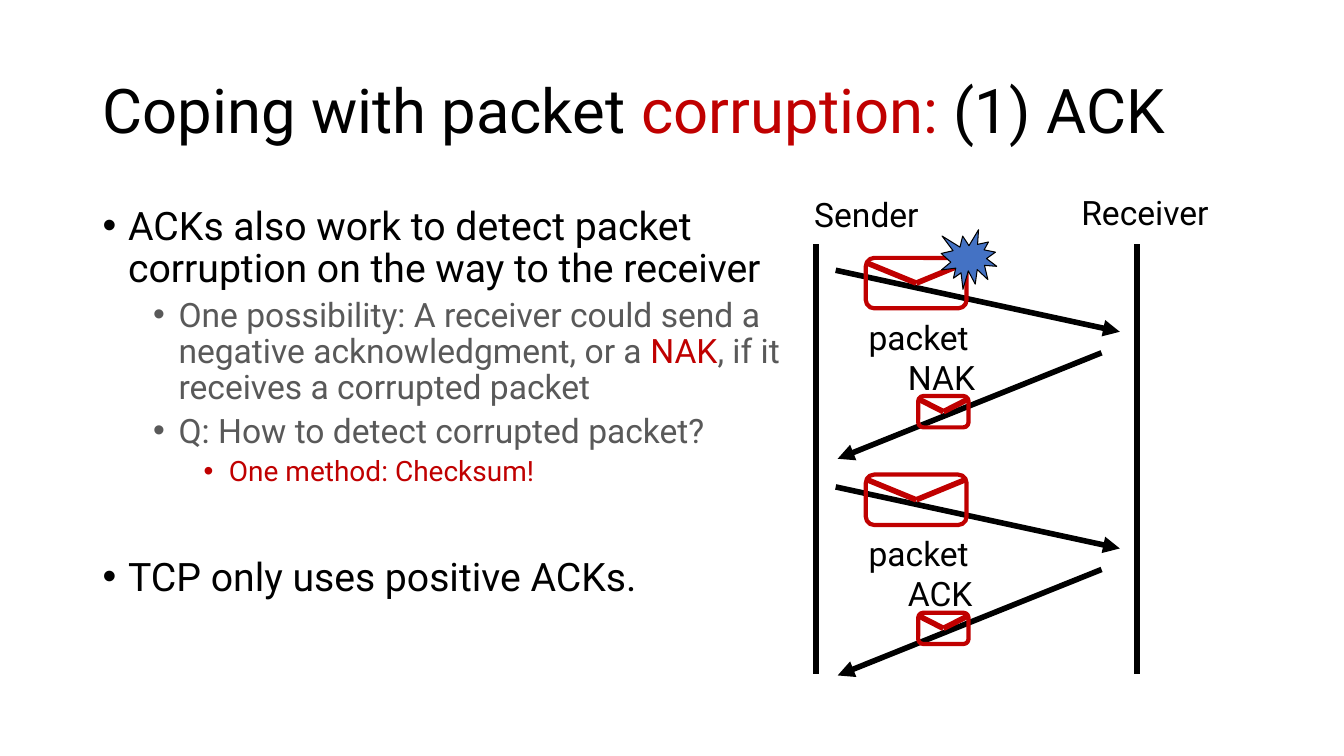
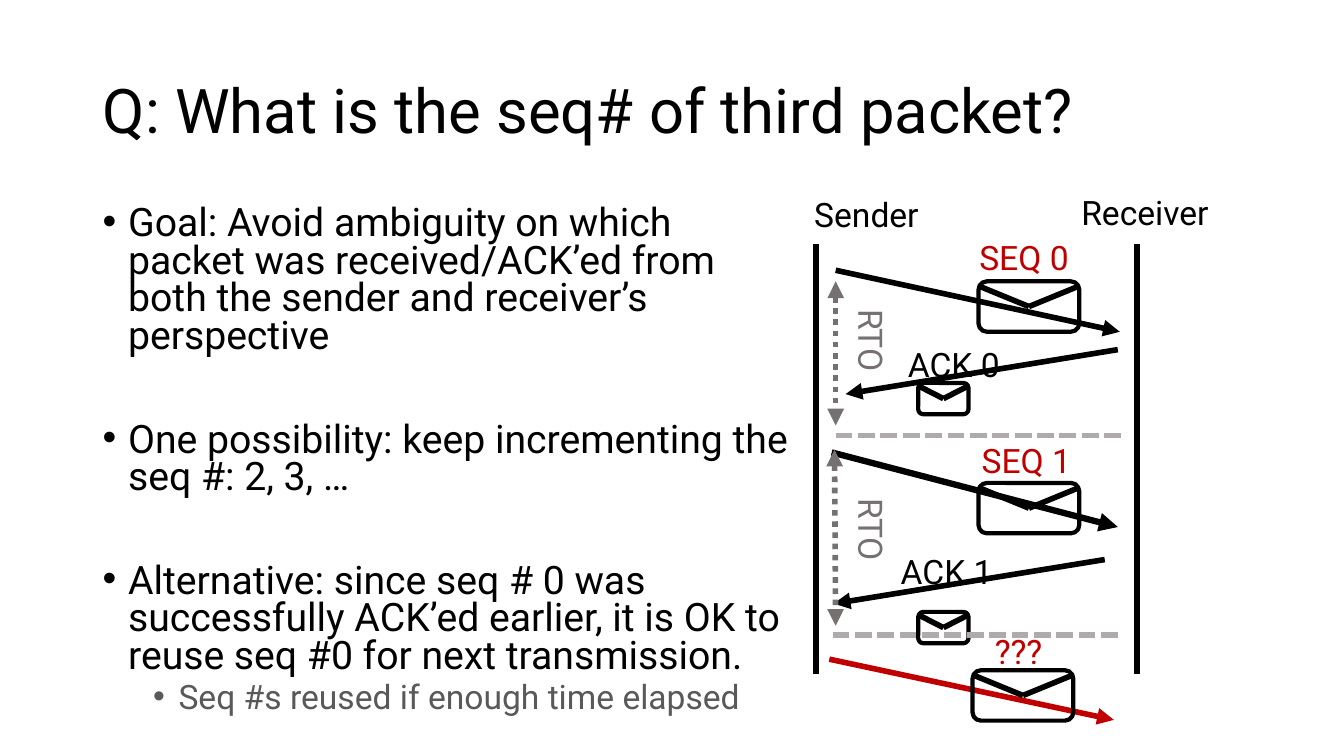
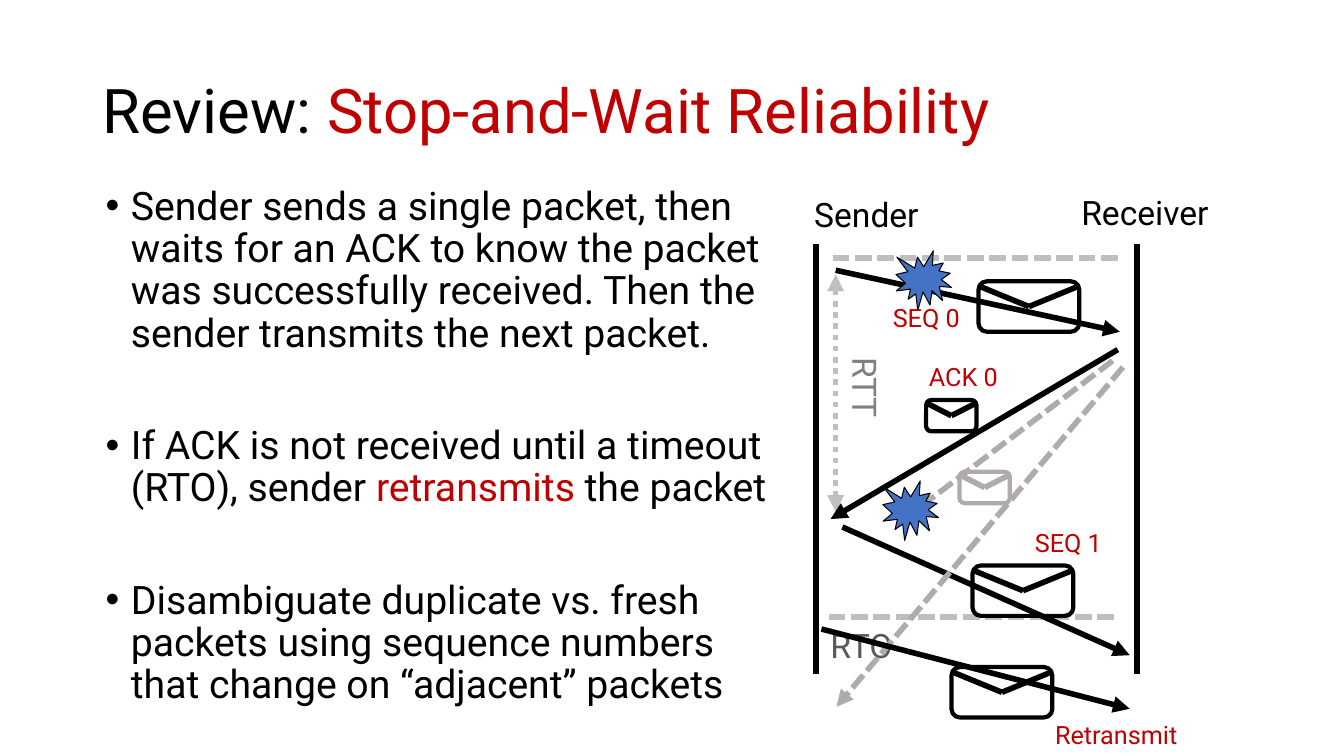
"""Build three slides on reliable delivery with ACKs, sequence numbers and timeouts."""
from lxml.etree import SubElement
from pptx import Presentation
from pptx.dml.color import RGBColor
from pptx.enum.dml import MSO_LINE_DASH_STYLE as Dash
from pptx.enum.shapes import MSO_CONNECTOR as Connector, MSO_SHAPE as Preset
from pptx.enum.text import MSO_ANCHOR as Anchor
from pptx.oxml.ns import qn
from pptx.util import Cm, Pt

BLACK = RGBColor(0x00, 0x00, 0x00)
RED = RGBColor(0xC0, 0x00, 0x00)
BLUE = RGBColor(0x44, 0x72, 0xC4)
DARK = RGBColor(0x59, 0x59, 0x59)
SLATE = RGBColor(0x76, 0x71, 0x71)
MID = RGBColor(0x80, 0x80, 0x80)
SILVER = RGBColor(0xAF, 0xAB, 0xAB)
PALE = RGBColor(0xBF, 0xBF, 0xBF)

FONT = "Roboto"
LEVELS = [(28, BLACK, 10), (24, DARK, 5), (20, RED, 5)]
LARGE, SMALL = (2.54, 1.27), (1.27, 0.79)
FIRST_SEND = (21.06, 6.81, 28.22, 8.36)


class Deck:
    """Shared style and the slide being drawn."""

    def __init__(self):
        self.show = Presentation()
        self.show.slide_width, self.show.slide_height = Cm(33.87), Cm(19.05)
        self.shapes = None

    def start(self, title, accent=None):
        """Add a slide with its title and the two timelines."""
        self.shapes = self.show.slides.add_slide(self.show.slide_layouts[6]).shapes
        heading = self.frame(2.34, 1.02, 29.21, 3.68)
        heading.vertical_anchor = Anchor.MIDDLE
        heading.paragraphs[0].line_spacing = 0.9
        self.fill_in(heading.paragraphs[0], title, 44, BLACK, accent)
        for timeline in (20.57, 28.65):
            self.line(timeline, 6.15, timeline, 16.99)
        self.label("Sender", 20.27, 4.75, 3.84)
        self.label("Receiver", 27, 4.7, 4.27)

    def frame(self, x, y, width, height, turn=0):
        """Add a wrapping text box and return its text frame."""
        box = self.shapes.add_textbox(Cm(x), Cm(y), Cm(width), Cm(height))
        box.rotation = turn
        box.text_frame.word_wrap = True
        return box.text_frame

    def fill_in(self, paragraph, text, size, color, accent=None):
        """Fill a paragraph, with the accent words in red."""
        for part in text.partition(accent) if accent else [text]:
            if part:
                run = paragraph.add_run()
                run.text = part
                run.font.name, run.font.size = FONT, Pt(size)
                run.font.color.rgb = RED if part == accent else color

    def label(self, text, x, y, width, color=BLACK, size=24, turn=0):
        """Add a one-line label."""
        caption = self.frame(x, y, width, 1.27 if size == 24 else 1.02, turn)
        self.fill_in(caption.paragraphs[0], text, size, color)

    def bullets(self, x, y, width, height, points, spacing=0.9):
        """Add bullets given as (level, text, accent, extra space before)."""
        body = self.frame(x, y, width, height)
        for index, (level, text, accent, extra) in enumerate(points):
            point = body.add_paragraph() if index else body.paragraphs[0]
            size, color, before = LEVELS[level]
            point.level, point.line_spacing = level, spacing
            point.space_before = Pt(before + extra)
            self.fill_in(point, text, size, color, accent)
            layout = point._p.get_or_add_pPr()
            layout.set("marL", str(Cm(0.64 + 1.27 * level)))
            layout.set("indent", str(Cm(-0.64)))
            SubElement(layout, qn("a:buFont")).set("typeface", "Arial")
            SubElement(layout, qn("a:buChar")).set("char", "•")

    def line(self, x1, y1, x2, y2, color=BLACK, weight=4, dash=None, ends=(), within=None):
        """Add a straight line with optional arrowheads."""
        stroke = (within or self.shapes).add_connector(
            Connector.STRAIGHT, Cm(x1), Cm(y1), Cm(x2), Cm(y2))
        stroke.line.color.rgb, stroke.line.width = color, Pt(weight)
        if dash:
            stroke.line.dash_style = dash
        for end in ends:
            SubElement(stroke.get_or_add_ln(), qn(f"a:{end}End")).set("type", "triangle")
        SubElement(stroke._element.spPr, qn("a:effectLst"))

    def arrow(self, x1, y1, x2, y2, color=BLACK, weight=4, dash=None):
        """Add a message arrow."""
        self.line(x1, y1, x2, y2, color, weight, dash, ["tail"])

    def divider(self, x1, x2, y, color):
        """Add a dashed horizontal line."""
        self.line(x1, y, x2, y, color, dash=Dash.SQUARE_DOT)

    def span(self, x1, y1, x2, y2, color):
        """Add a dotted, double-headed time span."""
        self.line(x1, y1, x2, y2, color, dash=Dash.ROUND_DOT, ends=["head", "tail"])

    def envelope(self, x, y, size=LARGE, color=BLACK):
        """Add an envelope with a two-stroke flap."""
        width, height = size
        pieces = self.shapes.add_group_shape().shapes
        cover = pieces.add_shape(Preset.ROUNDED_RECTANGLE, Cm(x), Cm(y), Cm(width), Cm(height))
        cover.shadow.inherit = False
        cover.fill.background()
        cover.line.color.rgb, cover.line.width = color, Pt(3)
        fold, tip_x, tip_y = y + 0.09 * height, x + width / 2, y + height / 2
        self.line(x, fold, tip_x, tip_y, color, within=pieces)
        self.line(tip_x, tip_y, x + width, fold, color, within=pieces)

    def burst(self, x, y):
        """Add a burst that marks damage or loss."""
        star = self.shapes.add_shape(Preset.EXPLOSION1, Cm(x), Cm(y), Cm(1.4), Cm(1.5))
        star.shadow.inherit = False
        star.fill.solid()
        star.fill.fore_color.rgb = BLUE
        star.line.color.rgb, star.line.width = BLACK, Pt(0.75)


def corruption(deck):
    """Draw the slide on packet corruption."""
    deck.start("Coping with packet corruption: (1) ACK", "corruption:")
    deck.bullets(2.34, 5.08, 17.88, 12.09, [
        (0, "ACKs also work to detect packet corruption on the way to the receiver", None, 0),
        (1, "One possibility: A receiver could send a negative acknowledgment, or a NAK, "
            "if it receives a corrupted packet", "NAK", 0),
        (1, "Q: How to detect corrupted packet?", None, 0),
        (2, "One method: Checksum!", None, 0),
        (0, "TCP only uses positive ACKs.", None, 40),
    ])
    for reply, drop in (("NAK", 0), ("ACK", 5.46)):
        x1, y1, x2, y2 = FIRST_SEND
        deck.arrow(x1, y1 + drop, x2, y2 + drop)
        deck.envelope(21.82, 6.5 + drop, color=RED)
        deck.arrow(27.76, 8.89 + drop, 21.11, 11.56 + drop)
        deck.envelope(23.14, 9.98 + drop, SMALL, RED)
        deck.label(reply, 22.63, 8.86 + drop, 2.27)
        deck.label("packet", 21.64, 7.85 + drop, 3.1)
    deck.burst(23.72, 5.79)


def third_packet(deck):
    """Draw the slide on the third sequence number."""
    deck.start("Q: What is the seq# of third packet?")
    deck.bullets(2.34, 5.08, 17.88, 13.97, [
        (0, "Goal: Avoid ambiguity on which packet was received/ACK’ed from both "
            "the sender and receiver’s perspective", None, 0),
        (0, "One possibility: keep incrementing the seq #: 2, 3, …", None, 37),
        (0, "Alternative: since seq # 0 was successfully ACK’ed earlier, it is OK to "
            "reuse seq #0 for next transmission.", None, 37),
        (1, "Seq #s reused if enough time elapsed", None, 0),
    ], 0.8)
    deck.arrow(*FIRST_SEND)
    deck.arrow(20.96, 11.4, 28.17, 13.28, weight=4.5)
    deck.arrow(28.17, 8.81, 21.31, 9.93)
    deck.arrow(27.84, 14.1, 21.01, 15.21)
    deck.arrow(20.9, 16.61, 28.07, 18.14, RED)
    for x, y in ((24.66, 7.09), (24.66, 12.17), (24.51, 16.89)):
        deck.envelope(x, y)
    for y in (9.65, 15.42):
        deck.envelope(23.14, y, SMALL)
    deck.divider(21.06, 28.3, 10.97, SILVER)
    deck.divider(20.98, 28.22, 16, SILVER)
    deck.span(21.06, 7.09, 21.06, 10.72, SLATE)
    deck.span(21.03, 11.33, 21.06, 15.77, SLATE)
    for y in (8.31, 13.08):
        deck.label("RTO", 20.57, y, 2.79, SLATE, turn=90)
    deck.label("ACK 0", 22.63, 8.53, 2.97)
    deck.label("ACK 1", 22.45, 13.77, 2.97)
    deck.label("SEQ 0", 24.43, 5.84, 3.4, RED)
    deck.label("SEQ 1", 24.49, 10.97, 3.12, RED)
    deck.label("???", 24.82, 15.77, 2.36, RED)


def stop_and_wait(deck):
    """Draw the review slide."""
    deck.start("Review: Stop-and-Wait Reliability", "Stop-and-Wait Reliability")
    deck.bullets(2.41, 4.57, 17.58, 13.97, [
        (0, "Sender sends a single packet, then waits for an ACK to know the packet was "
            "successfully received. Then the sender transmits the next packet.", None, 0),
        (0, "If ACK is not received until a timeout (RTO), sender retransmits the packet",
         "retransmits", 40),
        (0, "Disambiguate duplicate vs. fresh packets using sequence numbers that change "
            "on “adjacent” packets", None, 40),
    ])
    deck.divider(20.88, 28.12, 15.54, PALE)
    deck.divider(20.98, 28.22, 6.5, PALE)
    deck.span(21.06, 6.91, 21.06, 12.9, PALE)
    deck.label("RTT", 20.42, 9.53, 2.79, MID, turn=90)
    deck.label("RTO", 20.68, 15.62, 2.79, DARK)
    deck.arrow(*FIRST_SEND)
    deck.arrow(28.17, 8.81, 20.93, 13.08)
    deck.arrow(21.23, 13.28, 28.47, 16.51)
    deck.arrow(28.3, 9.25, 21.08, 17.81, SILVER, dash=Dash.SQUARE_DOT)
    deck.arrow(20.7, 15.85, 28.47, 17.86)
    deck.arrow(28.04, 9.09, 22.96, 12.95, SILVER, dash=Dash.SQUARE_DOT)
    for x, y in ((24.66, 7.09), (24.51, 14.25), (23.98, 16.81)):
        deck.envelope(x, y)
    deck.envelope(23.34, 10.08, SMALL)
    deck.envelope(24.18, 11.89, SMALL, SILVER)
    deck.burst(22.25, 12.12)
    deck.burst(22.58, 6.32)
    for text, x, y, width in (("SEQ 0", 22.25, 7.49, 2.74), ("ACK 0", 23.16, 8.97, 2.74),
                              ("SEQ 1", 25.83, 13.16, 2.74), ("Retransmit", 26.34, 18.01, 6.43)):
        deck.label(text, x, y, width, RED, 18)


def main():
    """Build and save the deck."""
    deck = Deck()
    for draw in (corruption, third_packet, stop_and_wait):
        draw(deck)
    deck.show.save("out.pptx")


if __name__ == "__main__":
    main()
